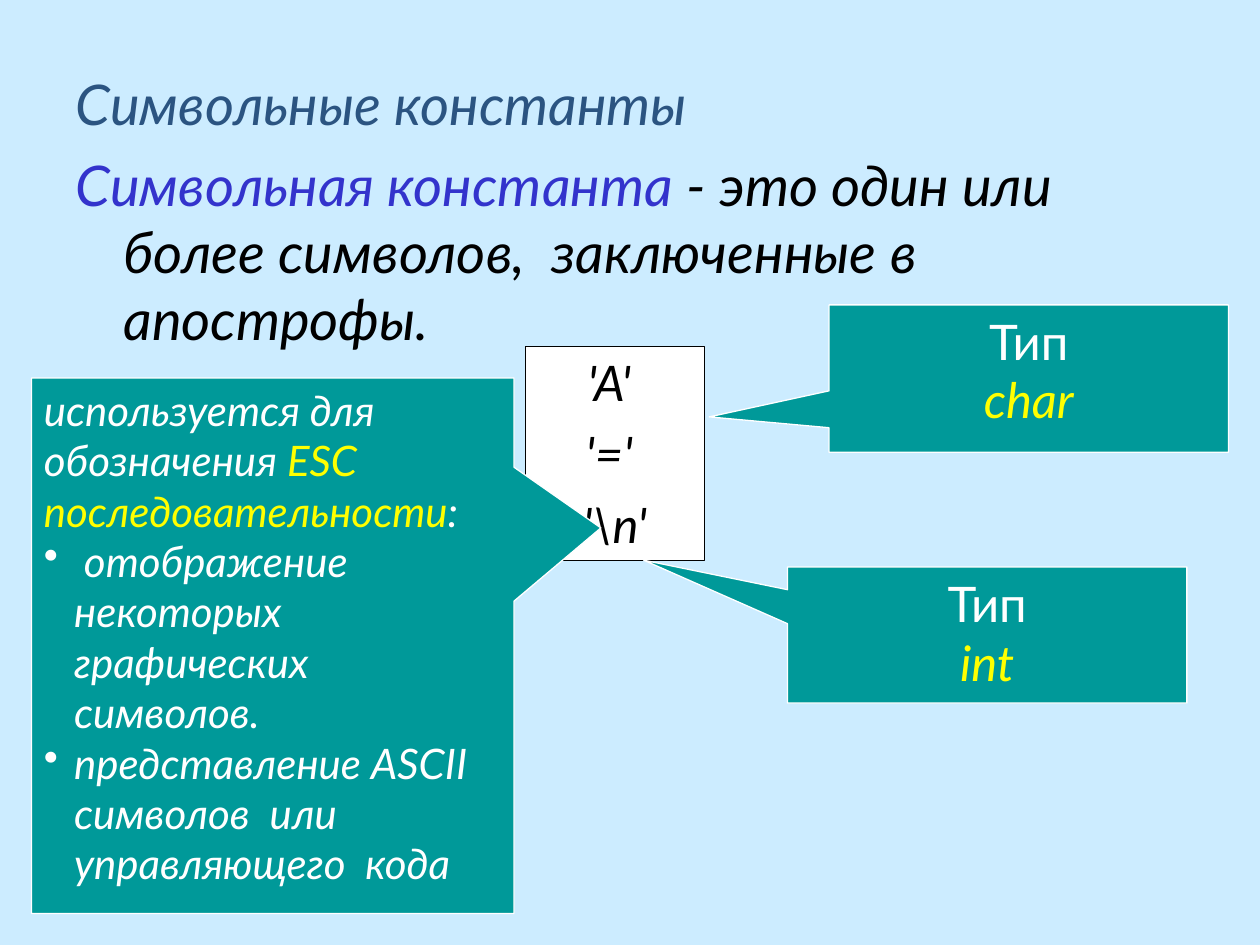
from pptx import Presentation
from pptx.dml.color import RGBColor
from pptx.enum.shapes import MSO_SHAPE
from pptx.enum.text import MSO_ANCHOR, MSO_AUTO_SIZE, PP_ALIGN
from pptx.oxml.ns import qn
from pptx.util import Inches, Pt
from lxml import etree

RECT, CALLOUT = MSO_SHAPE.RECTANGLE, MSO_SHAPE.RECTANGULAR_CALLOUT
LEFT, CENTER = PP_ALIGN.LEFT, PP_ALIGN.CENTER
TOP = MSO_ANCHOR.TOP
NO_AUTOFIT = MSO_AUTO_SIZE.NONE

FONT = "Lato"
SKY = RGBColor(0xCC, 0xEC, 0xFF)
NAVY = RGBColor(0x2B, 0x54, 0x81)
BLUE = RGBColor(0x33, 0x33, 0xCC)
TEAL = RGBColor(0x00, 0x99, 0x99)
YELLOW = RGBColor(0xFF, 0xFF, 0x00)
WHITE = RGBColor(0xFF, 0xFF, 0xFF)
BLACK = RGBColor(0x00, 0x00, 0x00)


def set_indent(p, hang, bullet=None):
    """Hanging indent, with a bullet character or none."""
    pPr = p._p.get_or_add_pPr()
    pPr.set("marL", str(Inches(hang)))
    pPr.set("indent", str(-Inches(hang)))
    if bullet:
        etree.SubElement(pPr, qn("a:buChar")).set("char", bullet)
    else:
        etree.SubElement(pPr, qn("a:buNone"))


def prepare_frame(tf):
    tf.word_wrap = True
    tf.auto_size = NO_AUTOFIT
    tf.vertical_anchor = TOP


def add_paragraph(tf, index, runs, size, align=LEFT, before=0):
    """Fill one paragraph from (text, colour, italic) runs."""
    p = tf.paragraphs[0] if index == 0 else tf.add_paragraph()
    p.alignment = align
    p.space_before = Pt(before if index else 0)
    for text, color, italic in runs:
        r = p.add_run()
        r.text = text
        r.font.name = FONT
        r.font.size = Pt(size)
        r.font.italic = italic
        r.font.color.rgb = color
    return p


def add_box(s, kind, box, fill, line, adjustments=()):
    sp = s.shapes.add_shape(kind, *map(Inches, box))
    sp.shadow.inherit = False
    sp.fill.solid()
    sp.fill.fore_color.rgb = fill
    sp.line.color.rgb = line
    sp.line.width = Pt(0.75)
    for i, value in enumerate(adjustments):
        sp.adjustments[i] = value
    prepare_frame(sp.text_frame)
    return sp.text_frame


def fill_definition(body, box):
    body.left, body.top, body.width, body.height = map(Inches, box)
    tf = body.text_frame
    prepare_frame(tf)
    paragraphs = [
        [("Символьные константы", NAVY, True)],
        [("Символьная константа ", BLUE, True),
         ("- это один или более символов,  заключенные в апострофы.", BLACK, True)],
    ]
    for i, runs in enumerate(paragraphs):
        p = add_paragraph(tf, i, runs, 32, before=8)
        set_indent(p, 0.38)


def add_examples(s, box):
    tf = add_box(s, RECT, box, WHITE, BLACK)
    for i, text in enumerate(["'A' ", "'=' ", "'\\n'"]):
        add_paragraph(tf, i, [(text, BLACK, True)], 28, CENTER, before=7)


def add_type_callout(s, box, pointer, type_name):
    tf = add_box(s, CALLOUT, box, TEAL, WHITE, pointer)
    add_paragraph(tf, 0, [("Тип", WHITE, False)], 28, CENTER)
    add_paragraph(tf, 1, [(type_name, YELLOW, True)], 28, CENTER)


def add_escape_callout(s, box, pointer):
    tf = add_box(s, CALLOUT, box, TEAL, WHITE, pointer)
    add_paragraph(tf, 0, [("используется для обозначения ", WHITE, True),
                          ("ESC  последовательности", YELLOW, True),
                          (":", WHITE, True)], 24)
    uses = [" отображение некоторых графическиx символов.",
            "представление ASCII  символов  или  управляющего  кода"]
    for i, text in enumerate(uses, start=1):
        p = add_paragraph(tf, i, [(text, WHITE, True)], 24)
        set_indent(p, 0.24, "•")


def main():
    prs = Presentation()
    prs.slide_width, prs.slide_height = Inches(10), Inches(7.5)
    s = prs.slides.add_slide(prs.slide_layouts[1])
    s.background.fill.solid()
    s.background.fill.fore_color.rgb = SKY

    # Heading and definition share the body placeholder
    title = s.shapes.title.element
    title.getparent().remove(title)
    fill_definition(s.placeholders[1], (0.5, 0.5, 9, 2.5))

    # Examples and the callouts that explain them
    add_examples(s, (4.17, 2.75, 1.42, 1.7))
    add_type_callout(s, (6.58, 2.42, 3.17, 1.17), (-0.8, 0.26), "char")
    add_type_callout(s, (6.25, 4.5, 3.17, 1.08), (-0.86, -0.55), "int")
    add_escape_callout(s, (0.25, 3, 3.83, 4.25), (0.68, -0.22))

    prs.save("out.pptx")


if __name__ == "__main__":
    main()
